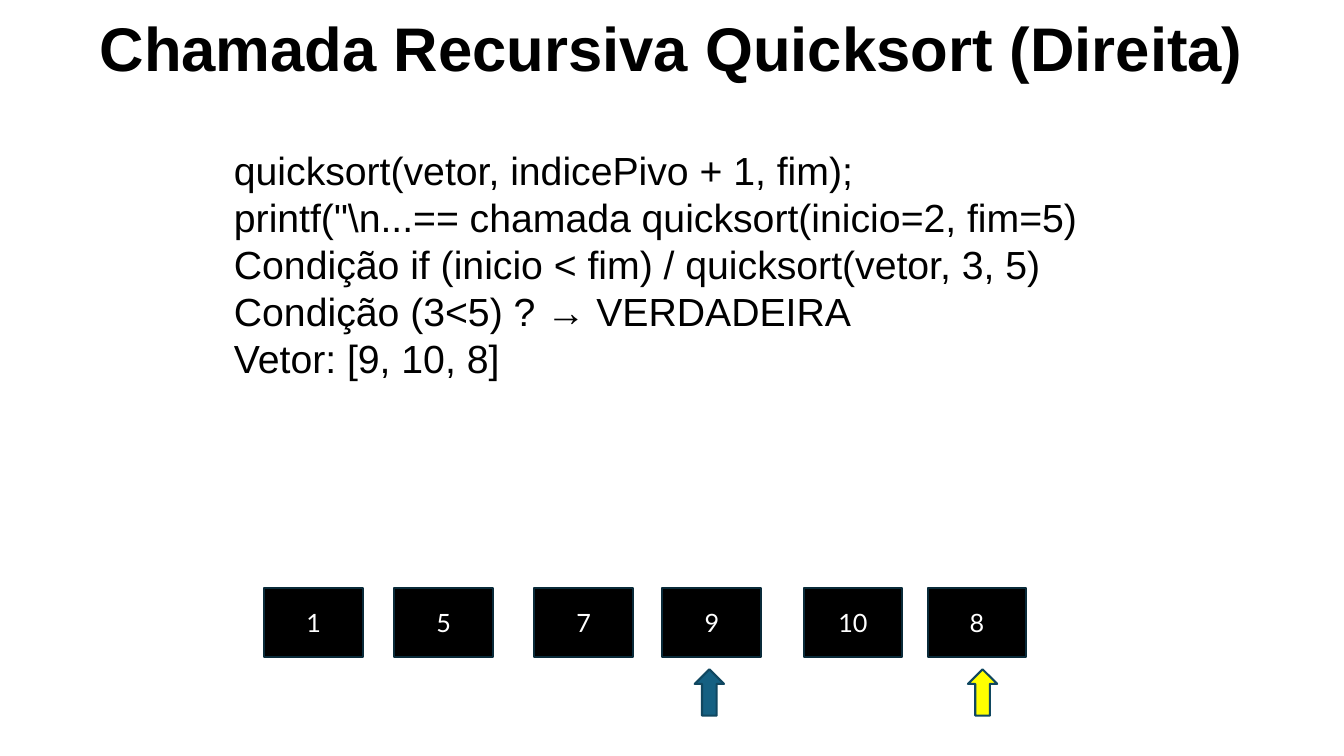
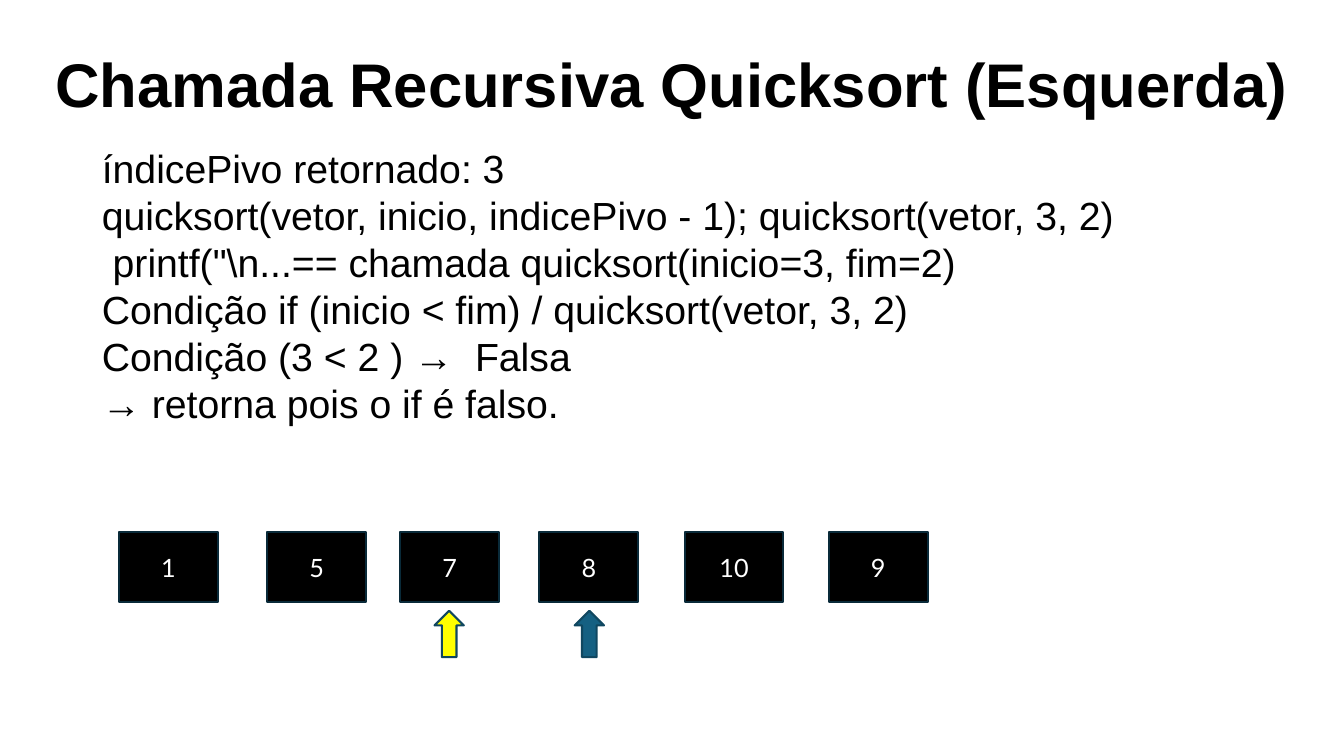
from pptx import Presentation
from pptx.dml.color import RGBColor
from pptx.enum.shapes import MSO_SHAPE
from pptx.enum.text import MSO_ANCHOR, MSO_AUTO_SIZE, PP_ALIGN
from pptx.oxml.xmlchemy import OxmlElement
from pptx.util import Emu, Pt

RECTANGLE, UP_ARROW = MSO_SHAPE.RECTANGLE, MSO_SHAPE.UP_ARROW
TOP, MIDDLE = MSO_ANCHOR.TOP, MSO_ANCHOR.MIDDLE
LEFT, CENTER = PP_ALIGN.LEFT, PP_ALIGN.CENTER
NO_AUTOFIT = MSO_AUTO_SIZE.NONE

BLACK = RGBColor(0x00, 0x00, 0x00)
WHITE = RGBColor(0xFF, 0xFF, 0xFF)
BLUE = RGBColor(0x15, 0x60, 0x82)
YELLOW = RGBColor(0xFF, 0xFF, 0x00)
CELL_EDGE = RGBColor(0x09, 0x2A, 0x39)
ARROW_EDGE = RGBColor(0x10, 0x47, 0x60)

PX = 9144  # 100 px to the inch
PAGE_WIDTH, PAGE_HEIGHT = 1333, 750
TITLE_HEIGHT = 84
CELL_WIDTH, CELL_HEIGHT = 98, 69
ARROW_WIDTH, ARROW_HEIGHT = 29, 46

# Cells are (value, left) and arrows are (colour, left).
PAGES = [
    {
        "title": "Chamada Recursiva Quicksort (Direita)",
        "title_top": 5,
        "steps": [
            "quicksort(vetor, indicePivo + 1, fim);",
            'printf("\\n...== chamada quicksort(inicio=2, fim=5)',
            "Condição if (inicio < fim) / quicksort(vetor, 3, 5)",
            "Condição (3<5) ? → VERDADEIRA",
            "Vetor: [9, 10, 8]",
        ],
        "steps_area": (222, 140, 933, 323),
        "cells": [("1", 262), ("5", 391), ("7", 530),
                  ("9", 657), ("10", 797), ("8", 920)],
        "cells_top": 583,
        "arrows": [(BLUE, 689), (YELLOW, 960)],
        "arrows_top": 664,
    },
    {
        "title": "Chamada Recursiva Quicksort (Esquerda)",
        "title_top": 41,
        "steps": [
            "índicePivo retornado: 3",
            "quicksort(vetor, inicio, indicePivo - 1); quicksort(vetor, 3, 2)",
            ' printf("\\n...== chamada quicksort(inicio=3, fim=2)',
            "Condição if (inicio < fim) / quicksort(vetor, 3, 2)",
            "Condição (3 < 2 ) →  Falsa",
            "→ retorna pois o if é falso.",
        ],
        "steps_area": (91, 138, 1058, 293),
        "cells": [("1", 118), ("5", 265), ("7", 397),
                  ("8", 535), ("10", 679), ("9", 822)],
        "cells_top": 528,
        "arrows": [(YELLOW, 431), (BLUE, 570)],
        "arrows_top": 606,
    },
]


def to_emu(area):
    return [Emu(length * PX) for length in area]


def write(shape, lines, size, font, color, align, anchor, bold=False):
    frame = shape.text_frame
    frame.text = "\n".join(lines)
    frame.word_wrap = True
    frame.auto_size = NO_AUTOFIT
    frame.vertical_anchor = anchor
    for para in frame.paragraphs:
        para.alignment = align
        para.space_before = Pt(0)
        for span in para.runs:
            span.font.size = Pt(size)
            span.font.name = font
            span.font.color.rgb = color
            span.font.bold = bold


def place(placeholder, area):
    (placeholder.left, placeholder.top,
     placeholder.width, placeholder.height) = to_emu(area)


def remove_bullets(frame):
    for para in frame.paragraphs:
        properties = para._p.get_or_add_pPr()
        properties.set("marL", "0")
        properties.set("indent", "0")
        properties.append(OxmlElement("a:buNone"))


def add_figure(page, kind, area, fill, edge):
    figure = page.shapes.add_shape(kind, *to_emu(area))
    figure.shadow.inherit = False
    figure.fill.solid()
    figure.fill.fore_color.rgb = fill
    figure.line.color.rgb = edge
    figure.line.width = Pt(1.5)
    return figure


def add_page(deck, content):
    page = deck.slides.add_slide(deck.slide_layouts[1])
    title, body = page.placeholders
    place(title, (0, content["title_top"], PAGE_WIDTH, TITLE_HEIGHT))
    write(title, [content["title"]], 44, "Arial", BLACK, CENTER, TOP, bold=True)
    place(body, content["steps_area"])
    write(body, content["steps"], 28, "Arial", BLACK, LEFT, TOP)
    remove_bullets(body.text_frame)

    for value, left in content["cells"]:
        area = (left, content["cells_top"], CELL_WIDTH, CELL_HEIGHT)
        cell = add_figure(page, RECTANGLE, area, BLACK, CELL_EDGE)
        write(cell, [value], 18, "Lato", WHITE, CENTER, MIDDLE)
    for color, left in content["arrows"]:
        area = (left, content["arrows_top"], ARROW_WIDTH, ARROW_HEIGHT)
        add_figure(page, UP_ARROW, area, color, ARROW_EDGE)


def main():
    deck = Presentation()
    deck.slide_width, deck.slide_height = to_emu((PAGE_WIDTH, PAGE_HEIGHT))
    for content in PAGES:
        add_page(deck, content)
    deck.save("out.pptx")


if __name__ == "__main__":
    main()
